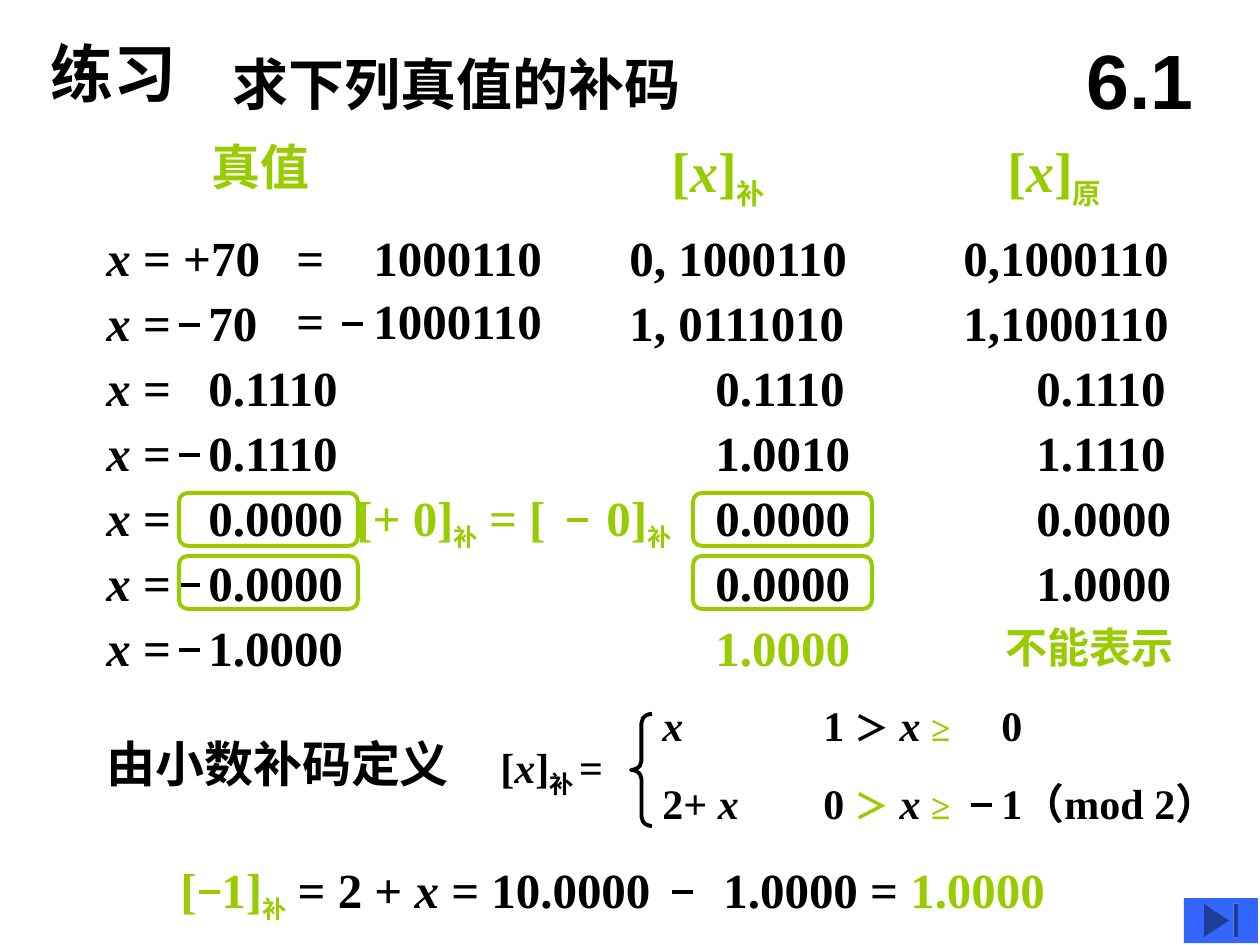
from lxml import etree
from pptx import Presentation
from pptx import util as u
from pptx.dml.color import RGBColor
from pptx.enum import shapes, text
from pptx.oxml.ns import qn

PX = 914400 / 126  # EMU in one px
BLACK = RGBColor(0x00, 0x00, 0x00)
GREEN = RGBColor(0x99, 0xCC, 0x00)
BLUE = RGBColor(0x33, 0x66, 0xFF)
SERIF = "Times New Roman"
ITALIC = {"italic": True}
FIRST_ROW, ROW_PITCH = 221, 65
MINUS_LENGTH = 21


def px(*lengths):
    return [u.Emu(round(n * PX)) for n in lengths]


def sub(size):
    return {"size": size, "subscript": True}


def add_run(paragraph, words, size, color, font=SERIF, italic=False, subscript=False):
    run = paragraph.add_run()
    run.text = words
    run.font.name = font
    run.font.size = u.Pt(size)
    run.font.bold = True
    run.font.italic = italic
    run.font.color.rgb = color
    if subscript:
        run._r.get_or_add_rPr().set("baseline", "-25000")


def write(frame, runs, size=28, color=BLACK, tabs=(), font=SERIF):
    """Fill a frame with runs, each given as (words, changes of style)."""
    frame.word_wrap = True
    frame.auto_size = text.MSO_AUTO_SIZE.NONE
    frame.vertical_anchor = text.MSO_ANCHOR.TOP
    frame.margin_right = 0
    paragraph = frame.paragraphs[0]
    paragraph.alignment = text.PP_ALIGN.LEFT
    if tabs:
        stops = etree.SubElement(paragraph._p.get_or_add_pPr(), qn("a:tabLst"))
        for stop in px(*tabs):
            etree.SubElement(stops, qn("a:tab"), pos=str(stop), algn="l")
    for words, changes in runs:
        add_run(paragraph, words, **{"size": size, "color": color, "font": font, **changes})


def add_text(slide, left, top, width, height, runs, **style):
    if isinstance(runs, str):
        runs = [(runs, {})]
    frame = slide.shapes.add_textbox(*px(left, top, width, height)).text_frame
    write(frame, runs, **style)
    return frame


def add_minus(slide, left, middle, color=BLACK):
    minus = slide.shapes.add_connector(
        shapes.MSO_CONNECTOR.STRAIGHT, *px(left, middle, left + MINUS_LENGTH, middle))
    minus.line.color.rgb = color
    minus.line.width = u.Pt(2.25)
    etree.SubElement(minus._element.spPr, qn("a:effectLst"))


def add_outline(slide, kind, left, top, width, height, color):
    outline = slide.shapes.add_shape(kind, *px(left, top, width, height))
    outline.shadow.inherit = False
    outline.fill.background()
    outline.line.color.rgb = color
    outline.line.width = u.Pt(2.25)
    return outline


def code_of_x(code, size):
    return [("[", {}), ("x", ITALIC), ("]", {}), (code, sub(size))]


def add_headings(slide):
    title = slide.shapes.title
    title.left, title.top, title.width, title.height = px(220, 43, 567, 81)
    write(title.text_frame, [("求下列真值的补码", {})], size=32)
    add_text(slide, 38, 28, 180, 88, "练习", size=36)

    section = add_text(slide, 1061, 21, 158, 116, "6.1", size=44, font="Arial")
    section.margin_right = section.margin_left
    section.vertical_anchor = text.MSO_ANCHOR.MIDDLE
    section.paragraphs[0].alignment = text.PP_ALIGN.CENTER

    add_text(slide, 199, 130, 220, 72, "真值", color=GREEN)
    codes = code_of_x("补", 28) + [("\t", {})] + code_of_x("原", 28)
    add_text(slide, 659, 130, 517, 87, codes, size=32, color=GREEN, tabs=[336])


def add_exercises(slide):
    # true value, is negative, complement code, sign-magnitude code
    exercises = [
        (" = +70", False, "0, 1000110", "0,1000110"),
        (" =\t70", True, "1, 0111010", "1,1000110"),
        (" =\t0.1110", False, "0.1110", "0.1110"),
        (" =\t0.1110", True, "1.0010", "1.1110"),
        (" =\t0.0000", False, "0.0000", "0.0000"),
        (" =\t0.0000", True, "0.0000", "1.0000"),
        (" =\t1.0000", True, "1.0000", None),
    ]
    for row, (value, negative, complement, magnitude) in enumerate(exercises):
        top = FIRST_ROW + row * ROW_PITCH
        is_integer = row < 2
        add_text(slide, 94, top, 261, 72, [("x", ITALIC), (value, {})], tabs=[102])
        if negative:
            add_minus(slide, 179, top + 39)
        add_text(slide, 617 if is_integer else 703, top, 286, 72, complement,
                 color=BLACK if magnitude else GREEN)
        if magnitude:
            add_text(slide, 951 if is_integer else 1024, top, 236, 72, magnitude)
    add_text(slide, 993, 615, 236, 63, "不能表示", size=24, color=GREEN)

    # Binary forms of +70 and -70
    for top in (221, 284):
        add_text(slide, 284, top, 320, 72, "=\t1000110", tabs=[77])
    add_minus(slide, 342, 324)


def add_zero_note(slide):
    for left in (179, 693):
        for top in (493, 556):
            add_outline(slide, shapes.MSO_SHAPE.ROUNDED_RECTANGLE,
                        left, top, 179, 53, GREEN)
    zeros = [("[+ 0]", {}), ("补", sub(24)), (" = [\t0]", {}), ("补", sub(24))]
    add_text(slide, 344, 481, 352, 77, zeros, color=GREEN, tabs=[250])
    add_minus(slide, 567, 520, GREEN)


def add_definition(slide):
    add_text(slide, 94, 727, 410, 72, "由小数补码定义")
    add_text(slide, 488, 735, 163, 70, code_of_x("补 ", 24) + [("=", {})], size=24)
    brace = add_outline(slide, shapes.MSO_SHAPE.LEFT_BRACE, 631, 714, 21, 112, BLACK)
    brace.adjustments[0] = 0.43

    sign = {"size": 20}
    green_sign = {"size": 20, "color": GREEN}
    cases = [
        (693, [("x", ITALIC), ("\t1 ", {}), ("＞", sign)], "\t0"),
        (771, [("2+ ", {}), ("x", ITALIC), ("\t0 ", {}), ("＞", green_sign)],
         "\t1（mod 2）"),
    ]
    for top, start, end in cases:
        runs = start + [(" ", {}), ("x ", ITALIC), ("≥", green_sign), (end, {})]
        add_text(slide, 650, top, 610, 63, runs, size=24, tabs=[161, 339])
    add_minus(slide, 971, 805)


def add_result(slide):
    runs = [("[\t1]", {"color": GREEN}), ("补", {**sub(24), "color": GREEN}),
            (" = 2 + ", {}), ("x", ITALIC), (" = 10.0000\t1.0000 = ", {}),
            ("1.0000", {"color": GREEN})]
    add_text(slide, 168, 853, 1029, 77, runs, tabs=[41, 543])
    add_minus(slide, 199, 892, GREEN)
    add_minus(slide, 672, 892)


def add_end_button(slide):
    button = slide.shapes.add_shape(
        shapes.MSO_SHAPE.ACTION_BUTTON_END, *px(1184, 898, 74, 45))
    button.shadow.inherit = False
    button.fill.solid()
    button.fill.fore_color.rgb = BLUE
    button.line.fill.background()


def main():
    deck = Presentation()
    deck.slide_width, deck.slide_height = px(1260, 945)
    slide = deck.slides.add_slide(deck.slide_layouts[5])
    add_headings(slide)
    add_exercises(slide)
    add_zero_note(slide)
    add_definition(slide)
    add_result(slide)
    add_end_button(slide)
    deck.save("out.pptx")


if __name__ == "__main__":
    main()
